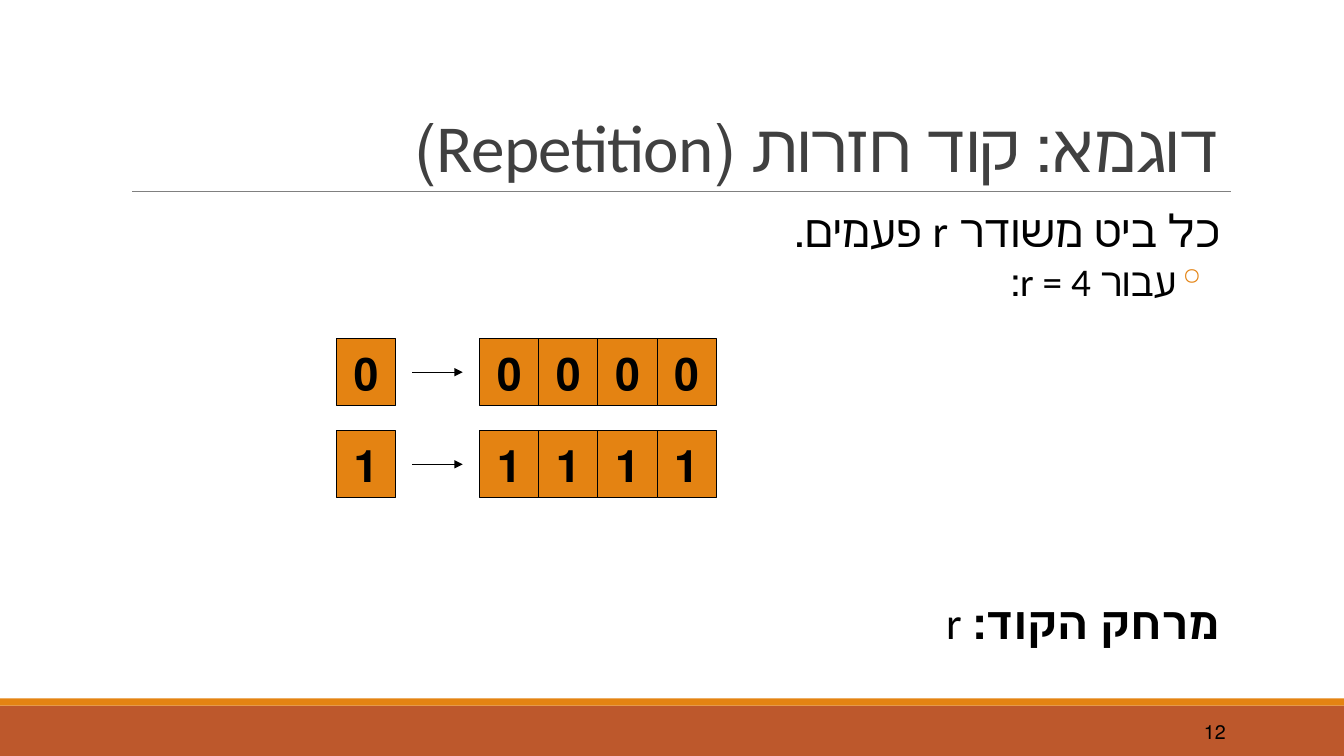
import pptx
import pptx.util
import pptx.dml.color
import pptx.enum.shapes
import pptx.enum.text
import pptx.oxml.ns
import lxml.etree
from pptx.util import Cm

ORANGE, RUST, BLACK = "E48312", "BD582C", "000000"
ALIGN = pptx.enum.text.PP_ALIGN
ANCHOR = pptx.enum.text.MSO_ANCHOR
qn = pptx.oxml.ns.qn


def colour(hex_code):
    return pptx.dml.color.RGBColor.from_string(hex_code)


def write(paragraph, text, size=32, font="Calibri", ink=BLACK, bold=False,
          align=ALIGN.RIGHT, spacing=None, before=0, after=0):
    """Add a run to a right-to-left paragraph and return the run."""
    paragraph.alignment = align
    paragraph.line_spacing = spacing
    paragraph.space_before = pptx.util.Pt(before)
    paragraph.space_after = pptx.util.Pt(after)
    paragraph._p.get_or_add_pPr().set("rtl", "1")
    run = paragraph.add_run()
    run.text = text
    run.font.name = font
    run.font.size = pptx.util.Pt(size)
    run.font.bold = bold
    run.font.color.rgb = colour(ink)
    return run


deck = pptx.Presentation()
deck.slide_width, deck.slide_height = Cm(33.87), Cm(19.05)
slide = deck.slides.add_slide(deck.slide_layouts[6])
shapes = slide.shapes
RECTANGLE = pptx.enum.shapes.MSO_SHAPE.RECTANGLE

# Footer bands
for top, height, fill in [(17.78, 1.27, RUST), (17.6, 0.18, ORANGE)]:
    band = shapes.add_shape(RECTANGLE, 0, Cm(top), deck.slide_width, Cm(height))
    band.shadow.inherit = False
    band.fill.solid()
    band.fill.fore_color.rgb = colour(fill)
    band.line.fill.background()

# Title
title = shapes.add_textbox(Cm(3.05), Cm(0.79), Cm(27.94), Cm(4.04)).text_frame
title.word_wrap = True
title.vertical_anchor = ANCHOR.BOTTOM
heading = write(title.paragraphs[0], "דוגמא: קוד חזרות (Repetition)",
                size=48, ink="404040", spacing=0.85)
heading.font._element.set("spc", "-50")

# Body
body = shapes.add_textbox(Cm(3.05), Cm(5.13), Cm(27.94), Cm(11.18)).text_frame
body.word_wrap = True
body.margin_left = body.margin_right = 0
rule, example, distance = body.paragraphs[0], body.add_paragraph(), body.add_paragraph()
write(rule, "כל ביט משודר r פעמים. ", spacing=0.9, before=12, after=2)
write(example, "עבור r = 4: ", size=28, spacing=0.9, before=2, after=4)
for text, bold in [("מרחק הקוד: ", True), ("r", False)]:
    write(distance, text, bold=bold, spacing=0.9, before=207, after=2)

for paragraph, margin, indent in [(rule, 0.25, 0), (example, 1.07, -0.51), (distance, 0.25, 0)]:
    properties = paragraph._p.get_or_add_pPr()
    properties.set("marL", str(Cm(margin)))
    properties.set("indent", str(Cm(indent)))
bullet = example._p.get_or_add_pPr()
bullet_colour = lxml.etree.SubElement(bullet, qn("a:buClr"))
lxml.etree.SubElement(bullet_colour, qn("a:srgbClr"), val=ORANGE)
lxml.etree.SubElement(bullet, qn("a:buChar"), char="◦")

# Slide number
number = shapes.add_textbox(Cm(27.51), Cm(17.93), Cm(3.63), Cm(1.02)).text_frame
number.word_wrap = True
number.vertical_anchor = ANCHOR.MIDDLE
write(number.paragraphs[0], "12", size=14, font="Arial")

# Each bit and its four repetitions
BIT_WIDTH, BIT_HEIGHT, REPEATS = 1.49, 1.7, 4
bit_lefts = [8.48] + [12.09 + i * BIT_WIDTH for i in range(REPEATS)]
lines = [(3.33, 31.01, 4.83, "808080", 0.5, False)]
for digit, top in [("0", 8.53), ("1", 10.85)]:
    for left in bit_lefts:
        bit = shapes.add_shape(RECTANGLE, Cm(left), Cm(top), Cm(BIT_WIDTH), Cm(BIT_HEIGHT))
        bit.shadow.inherit = False
        bit.fill.solid()
        bit.fill.fore_color.rgb = colour(ORANGE)
        bit.line.color.rgb = colour(BLACK)
        bit.line.width = pptx.util.Pt(0.75)
        bit.text_frame.word_wrap = False
        bit.text_frame.vertical_anchor = ANCHOR.MIDDLE
        write(bit.text_frame.paragraphs[0], digit, font="Arial", bold=True, align=ALIGN.CENTER)
    lines.append((10.39, 11.66, top + BIT_HEIGHT / 2, BLACK, 0.75, True))

# Title underline and encoding arrows
for start, end, height, ink, weight, arrow in lines:
    line = shapes.add_connector(pptx.enum.shapes.MSO_CONNECTOR.STRAIGHT,
                                Cm(start), Cm(height), Cm(end), Cm(height))
    line.line.color.rgb = colour(ink)
    line.line.width = pptx.util.Pt(weight)
    if arrow:
        lxml.etree.SubElement(line.line._get_or_add_ln(), qn("a:tailEnd"), type="triangle")
    lxml.etree.SubElement(line._element.spPr, qn("a:effectLst"))

deck.save("out.pptx")
